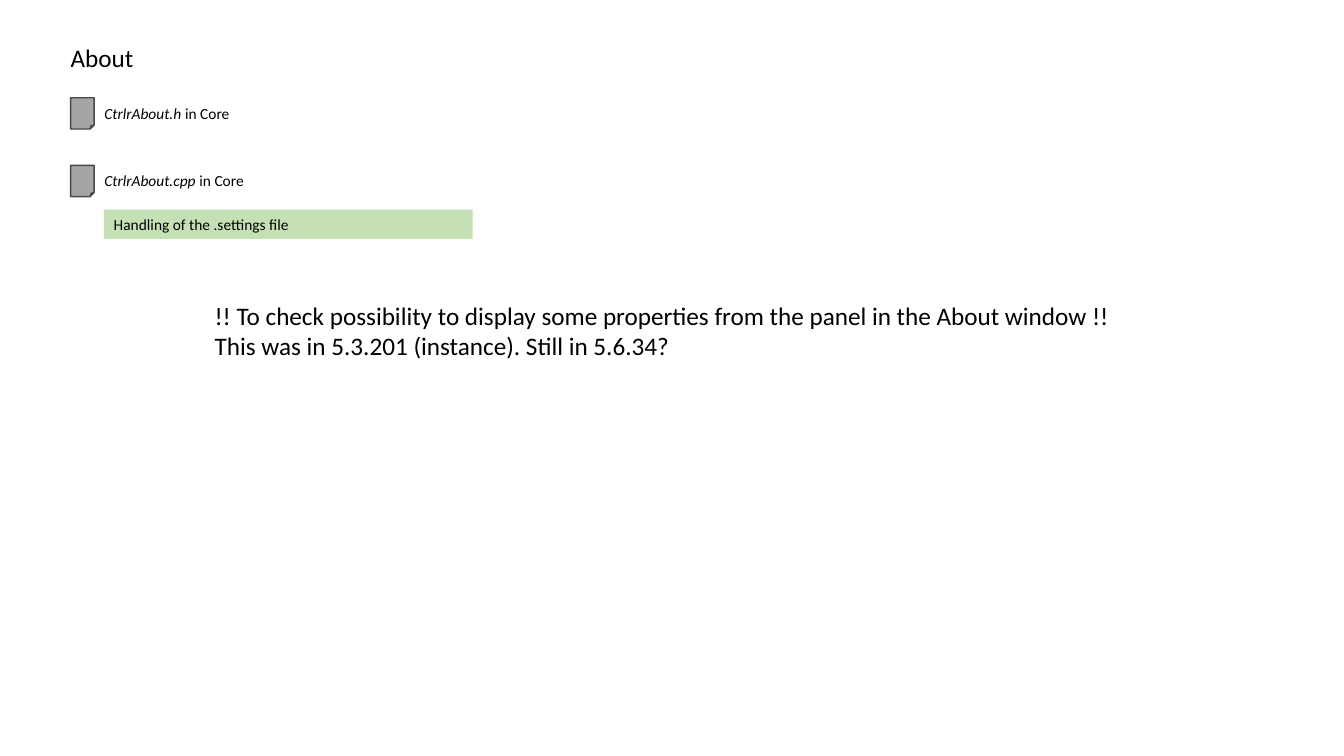
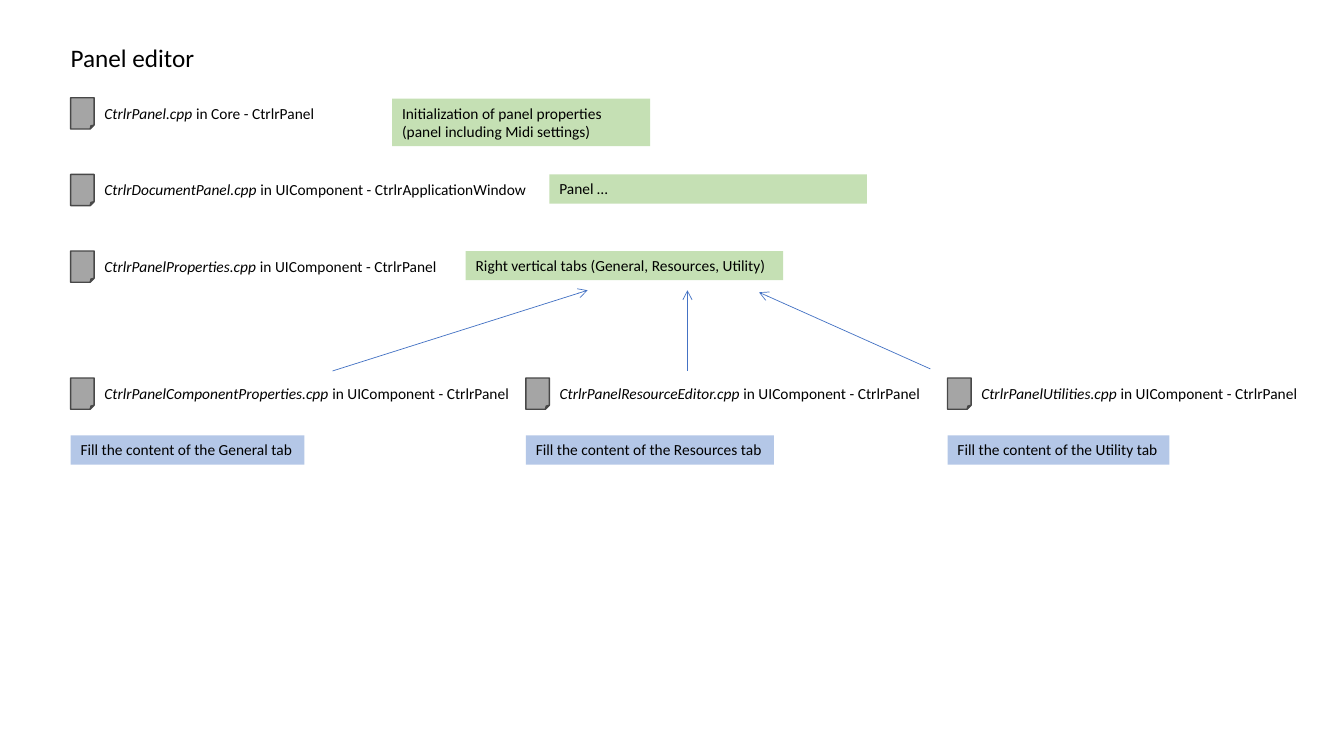
from dataclasses import dataclass

from lxml.etree import SubElement
from pptx import Presentation
from pptx.dml.color import RGBColor
from pptx.enum.shapes import MSO_CONNECTOR, MSO_SHAPE
from pptx.enum.text import MSO_ANCHOR, MSO_AUTO_SIZE, PP_ALIGN
from pptx.oxml.ns import qn
from pptx.util import Inches, Pt


@dataclass(frozen=True)
class Theme:
    font: str = "Calibri"
    heading: int = 18
    body: int = 11
    text: str = "000000"
    paper: str = "A5A5A5"
    paper_edge: str = "484848"
    green: str = "C5E0B4"
    blue: str = "B4C7E7"
    arrow: str = "4472C4"


THEME = Theme()
COLUMNS, ROWS = 80, 45
LEFT = 4.2
LINE_HEIGHT = 1.74


class Sketch:
    def __init__(self, deck, theme):
        self.deck = deck
        self.theme = theme
        self.page = None

    def grid(self, column, row):
        width, height = self.deck.slide_width, self.deck.slide_height
        return round(width * column / COLUMNS), round(height * row / ROWS)

    def area(self, column, row, columns, rows):
        return self.grid(column, row) + self.grid(columns, rows)

    def fill_text(self, shape, paragraphs, size, wrap=False):
        frame = shape.text_frame
        frame.word_wrap = wrap
        frame.auto_size = MSO_AUTO_SIZE.NONE
        frame.vertical_anchor = MSO_ANCHOR.TOP
        frame.margin_left = frame.margin_right = Inches(0.1)
        frame.margin_top = frame.margin_bottom = Inches(0.05)
        for index, spans in enumerate(paragraphs):
            para = frame.add_paragraph() if index else frame.paragraphs[0]
            para.alignment = PP_ALIGN.LEFT
            for text, italic in spans:
                span = para.add_run()
                span.text = text
                span.font.name = self.theme.font
                span.font.size = Pt(size)
                span.font.italic = italic
                span.font.color.rgb = RGBColor.from_string(self.theme.text)

    def new_page(self, title):
        self.page = self.deck.slides.add_slide(self.deck.slide_layouts[5])
        box = self.page.shapes.title
        box.left, box.top, box.width, box.height = self.area(3.6, 2.22, 60, 2.4)
        self.fill_text(box, [[(title, False)]], self.theme.heading, wrap=True)

    def block(self, kind, place, fill):
        shape = self.page.shapes.add_shape(kind, *self.area(*place))
        shape.shadow.inherit = False
        shape.fill.solid()
        shape.fill.fore_color.rgb = RGBColor.from_string(fill)
        shape.line.fill.background()
        return shape

    def text(self, place, paragraphs, size):
        box = self.page.shapes.add_textbox(*self.area(*place))
        self.fill_text(box, paragraphs, size)

    def source_file(self, column, row, columns, name, location):
        icon = self.block(MSO_SHAPE.FOLDED_CORNER, (column, row, 1.4, 1.86), self.theme.paper)
        icon.line.color.rgb = RGBColor.from_string(self.theme.paper_edge)
        icon.line.width = Pt(1)
        spans = [(name + " ", True), ("in " + location, False)]
        place = (column + 1.42, row + 0.06, columns, LINE_HEIGHT)
        self.text(place, [spans], self.theme.body)

    def tag(self, column, row, columns, text, fill, rows=LINE_HEIGHT, wrap=True):
        shape = self.block(MSO_SHAPE.RECTANGLE, (column, row, columns, rows), fill)
        self.fill_text(shape, [[(text, False)]], self.theme.body, wrap)

    def note(self, place, lines):
        self.text(place, [[(line, False)] for line in lines], self.theme.heading)

    def arrow(self, start, end):
        ends = self.grid(*start) + self.grid(*end)
        link = self.page.shapes.add_connector(MSO_CONNECTOR.STRAIGHT, *ends)
        link.line.color.rgb = RGBColor.from_string(self.theme.arrow)
        link.line.width = Pt(0.5)
        properties = link.element.spPr
        SubElement(properties.find(qn("a:ln")), qn("a:tailEnd"), type="arrow")
        SubElement(properties, qn("a:effectLst"))


def about_page(sketch):
    sketch.new_page("About")
    sketch.source_file(LEFT, 5.82, 8.7, "CtrlrAbout.h", "Core")
    sketch.source_file(LEFT, 9.84, 9.54, "CtrlrAbout.cpp", "Core")
    sketch.tag(6.18, 12.48, 21.96, "Handling of the .settings file", THEME.green)
    sketch.note((12.18, 17.58, 55.14, 4.26), [
        "!! To check possibility to display some properties from the panel in the About window !!",
        "This was in 5.3.201 (instance). Still in 5.6.34?",
    ])


def panel_page(sketch):
    sketch.new_page("Panel editor")
    files = [
        ("CtrlrPanel.cpp", "Core - CtrlrPanel", 13.8),
        ("CtrlrDocumentPanel.cpp", "UIComponent - CtrlrApplicationWindow", 26.46),
        ("CtrlrPanelProperties.cpp", "UIComponent - CtrlrPanel", 21.06),
    ]
    first_row, step = 5.82, 4.56
    for index, (name, location, columns) in enumerate(files):
        sketch.source_file(LEFT, first_row + index * step, columns, name, location)

    sketch.tag(23.34, 5.88, 15.36,
               "Initialization of panel properties (panel including Midi settings)",
               THEME.green, rows=2.82)
    sketch.tag(32.7, first_row + step, 18.9, "Panel …", THEME.green)
    sketch.tag(27.72, first_row + 2 * step, 18.9,
               "Right vertical tabs (General, Resources, Utility)", THEME.green)

    tabs = [
        (LEFT, "ComponentProperties", 25.44, "General", 13.92, (19.8, 22.08), (34.98, 17.28)),
        (31.3, "ResourceEditor", 22.92, "Resources", 14.76, (40.92, 22.08), (40.92, 17.28)),
        (56.4, "Utilities", 20.1, "Utility", 13.2, (55.38, 21.96), (45.18, 17.4)),
    ]
    for column, part, label_columns, tab, tag_columns, start, end in tabs:
        sketch.source_file(column, 22.5, label_columns,
                           f"CtrlrPanel{part}.cpp", "UIComponent - CtrlrPanel")
        sketch.tag(column, 25.92, tag_columns, f"Fill the content of the {tab} tab",
                   THEME.blue, wrap=False)
        sketch.arrow(start, end)


def main():
    deck = Presentation()
    deck.slide_width, deck.slide_height = Inches(13.33), Inches(7.5)
    sketch = Sketch(deck, THEME)
    about_page(sketch)
    panel_page(sketch)
    deck.save("out.pptx")


if __name__ == "__main__":
    main()
